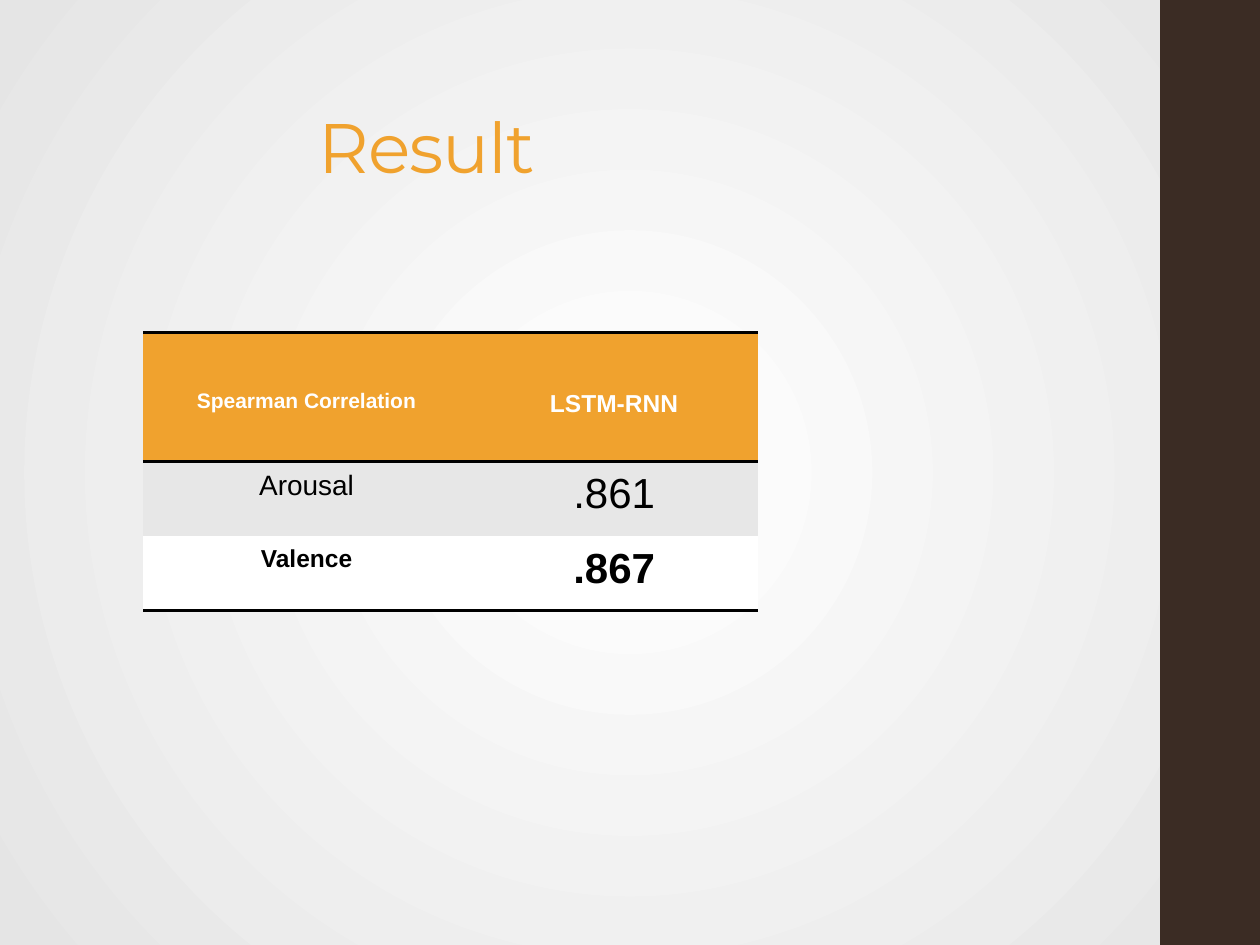
import dataclasses
from typing import Any

import lxml.etree
import pptx
import pptx.dml.color
import pptx.enum.shapes
import pptx.enum.text
import pptx.oxml.ns
import pptx.util
from pptx.util import Cm

ORANGE, BROWN, BLACK, WHITE = "F0A22E", "3B2C24", "000000", "FFFFFF"
SLIDE_WIDTH, SLIDE_HEIGHT = Cm(25.4), Cm(19.05)
COLUMN_WIDTHS = (Cm(6.58), Cm(5.82))
RULED_EDGES = {0, 1, 3}  # row boundaries with a black rule, counted from the top


@dataclasses.dataclass
class ResultRow:
    texts: tuple[str, str]
    sizes: tuple[int, int]
    height: int
    fill: str
    ink: str = BLACK
    bold: bool = False
    top_margin: int = Cm(0.18)


ROWS = (
    ResultRow(("Spearman Correlation", "LSTM-RNN"), (12, 14), Cm(2.6), ORANGE,
              ink=WHITE, bold=True, top_margin=Cm(1.15)),
    ResultRow(("Arousal", ".861"), (16, 24), Cm(1.5), "E7E7E7"),
    ResultRow(("Valence", ".867"), (14, 24), Cm(1.5), WHITE, bold=True),
)


def rgb(value: str) -> pptx.dml.color.RGBColor:
    return pptx.dml.color.RGBColor.from_string(value)


def apply_format(target: Any, values: dict[str, Any]) -> None:
    for name, value in values.items():
        setattr(target, name, value)


def add_xml(parent: Any, tag: str, **attributes: str) -> Any:
    return lxml.etree.SubElement(parent, pptx.oxml.ns.qn(tag), attributes)


def write_text(paragraph: Any, text: str, ink: str, **font_format: Any) -> Any:
    run = paragraph.add_run()
    run.text = text
    apply_format(run.font, font_format)
    run.font.color.rgb = rgb(ink)
    return run


def paint_background(slide: Any) -> None:
    """Fill the background with a circular gradient, white in the middle."""
    fill = slide.background.fill
    fill.gradient()
    for stop, color, position in zip(fill.gradient_stops, (WHITE, "E5E5E5"), (0, 1)):
        stop.color.rgb = rgb(color)
        stop.position = position
    gradient = slide.background._cSld.find(".//" + pptx.oxml.ns.qn("a:gradFill"))
    gradient.remove(gradient.find(pptx.oxml.ns.qn("a:lin")))
    circle = add_xml(gradient, "a:path", path="circle")
    add_xml(circle, "a:fillToRect", **dict.fromkeys("ltrb", "100000"))


def add_side_band(slide: Any) -> None:
    left = Cm(23.39)
    band = slide.shapes.add_shape(pptx.enum.shapes.MSO_SHAPE.RECTANGLE,
                                  left, 0, SLIDE_WIDTH - left, SLIDE_HEIGHT)
    band.shadow.inherit = False
    band.fill.solid()
    band.fill.fore_color.rgb = rgb(BROWN)
    band.line.fill.background()


def add_title(slide: Any) -> None:
    title = slide.shapes.add_textbox(Cm(6.17), Cm(2.16), Cm(20.2), Cm(3.68))
    title.text_frame.word_wrap = True
    paragraph = title.text_frame.paragraphs[0]
    paragraph.line_spacing = 0.9
    run = write_text(paragraph, "Result", ORANGE, name="Montserrat",
                     size=pptx.util.Pt(40))
    run.font._element.set("spc", "-50")


def rule_cell(cell: Any, row_index: int) -> None:
    """Draw the black rules above and below a cell and hide its other borders."""
    properties = cell._tc.get_or_add_tcPr()
    ruled = {"a:lnL": False, "a:lnR": False,
             "a:lnT": row_index in RULED_EDGES,
             "a:lnB": row_index + 1 in RULED_EDGES}
    for side, visible in ruled.items():
        border = add_xml(properties, side, w=str(pptx.util.Pt(2)))
        if visible:
            add_xml(add_xml(border, "a:solidFill"), "a:srgbClr", val=BLACK)
        else:
            add_xml(border, "a:noFill")


def add_result_table(slide: Any) -> None:
    table = slide.shapes.add_table(
        len(ROWS), len(COLUMN_WIDTHS), Cm(2.89), Cm(6.71),
        sum(COLUMN_WIDTHS), sum(row.height for row in ROWS)).table
    for column, width in zip(table.columns, COLUMN_WIDTHS):
        column.width = width
    for row_index, row in enumerate(ROWS):
        table.rows[row_index].height = row.height
        for column_index, (text, size) in enumerate(zip(row.texts, row.sizes)):
            cell = table.cell(row_index, column_index)
            apply_format(cell, {
                "margin_left": Cm(0.38), "margin_right": Cm(0.38),
                "margin_top": row.top_margin, "margin_bottom": Cm(0.18),
                "vertical_anchor": pptx.enum.text.MSO_ANCHOR.TOP})
            rule_cell(cell, row_index)
            cell.fill.solid()
            cell.fill.fore_color.rgb = rgb(row.fill)
            paragraph = cell.text_frame.paragraphs[0]
            paragraph.alignment = pptx.enum.text.PP_ALIGN.CENTER
            write_text(paragraph, text, row.ink, name="Arial",
                       size=pptx.util.Pt(size), bold=row.bold)


def main() -> None:
    deck = pptx.Presentation()
    apply_format(deck, {"slide_width": SLIDE_WIDTH, "slide_height": SLIDE_HEIGHT})
    slide = deck.slides.add_slide(deck.slide_layouts[6])
    paint_background(slide)
    add_side_band(slide)
    add_result_table(slide)
    add_title(slide)
    deck.save("out.pptx")


if __name__ == "__main__":
    main()
